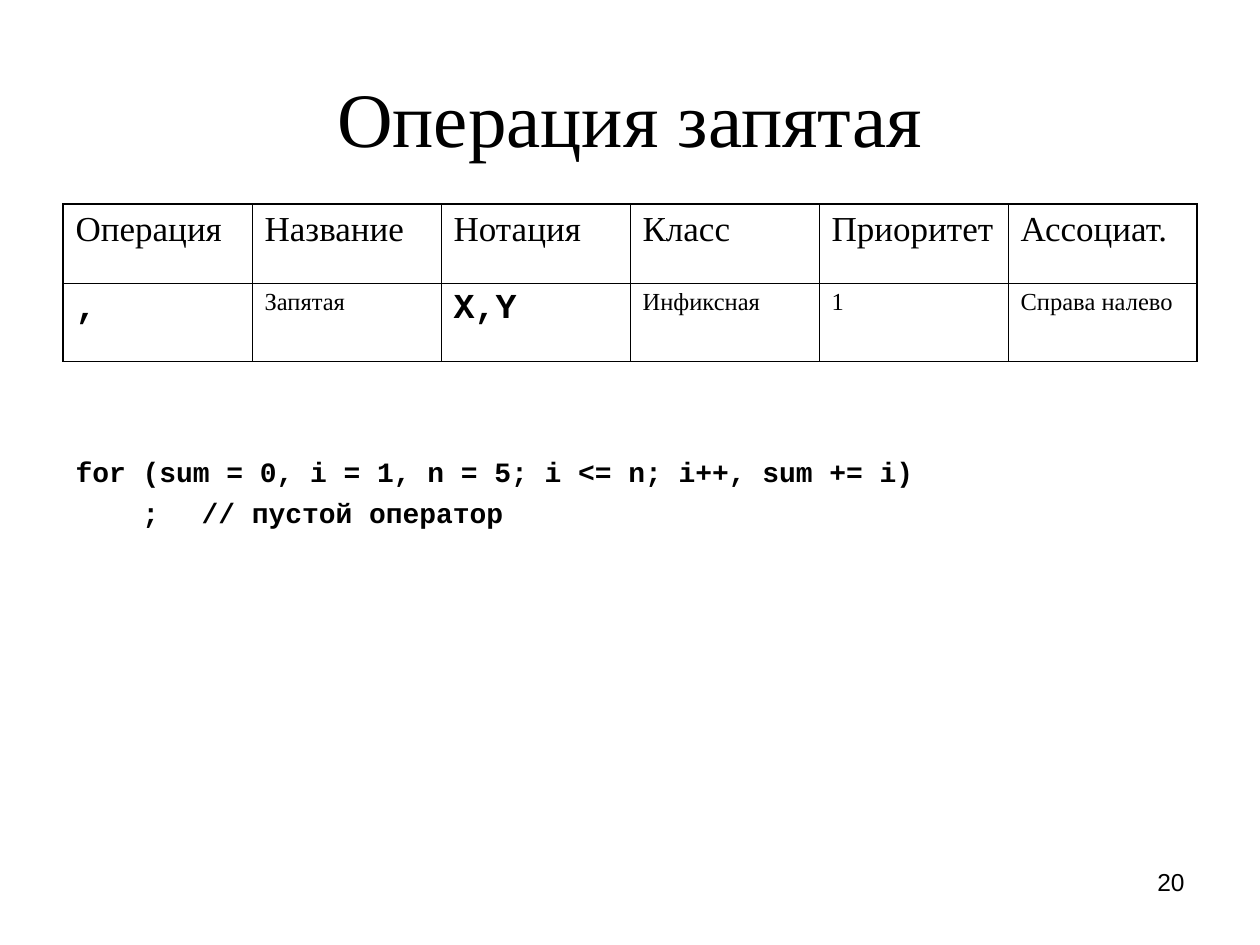
import pptx
import pptx.util
import pptx.dml.color
import pptx.enum.text
import pptx.oxml
import pptx.oxml.ns
from pptx.util import Inches, Pt

# Content
TITLE = "Операция запятая"
HEADER = ["Операция", "Название", "Нотация", "Класс", "Приоритет", "Ассоциат."]
ROW = [",", "Запятая", "X,Y", "Инфиксная", "1", "Справа налево"]
CODE_COLUMNS = (0, 2)
CODE = [  # text, first-line indent in inches
    ("for (sum = 0, i = 1, n = 5; i <= n; i++, sum += i)", 0),
    (";\t// пустой оператор", 0.53),
]
NUMBER = "20"

COLORS = {"text": "000000", "border": "000000"}
SERIF, MONO, SANS = "Times New Roman", "Courier New", "Arial"
OUTER, INNER = 1.08, 0.45  # border widths in points


def style(p, font, size, bold=False, before=0):
    p.font.name = font
    p.font.size = Pt(size)
    p.font.bold = bold
    p.font.color.rgb = pptx.dml.color.RGBColor.from_string(COLORS["text"])
    p.space_before = Pt(before)


def place(sp, left, top, width, height):
    sp.left, sp.top = Inches(left), Inches(top)
    sp.width, sp.height = Inches(width), Inches(height)


def add_border(cell, side, width):
    cell._tc.get_or_add_tcPr().append(pptx.oxml.parse_xml(
        f'<a:ln{side} {pptx.oxml.ns.nsdecls("a")} w="{int(Pt(width))}">'
        f'<a:solidFill><a:srgbClr val="{COLORS["border"]}"/></a:solidFill>'
        f'</a:ln{side}>'))


def main():
    prs = pptx.Presentation()
    prs.slide_width, prs.slide_height = Inches(10), Inches(7.5)
    s = prs.slides.add_slide(prs.slide_layouts[1])

    # Title
    title = s.shapes.title
    place(title, 0.5, 0.3, 9, 1.25)
    tf = title.text_frame
    tf.text = TITLE
    tf.auto_size = pptx.enum.text.MSO_AUTO_SIZE.NONE
    tf.vertical_anchor = pptx.enum.text.MSO_ANCHOR.MIDDLE
    tf.paragraphs[0].alignment = pptx.enum.text.PP_ALIGN.CENTER
    style(tf.paragraphs[0], SERIF, 44)

    # Code sample: no bullets, comment aligned on a one-inch tab
    body = s.placeholders[1]
    place(body, 0.5, 3.56, 9, 1.06)
    tf = body.text_frame
    tf.auto_size = pptx.enum.text.MSO_AUTO_SIZE.NONE
    tf.text = "\n".join(text for text, _ in CODE)
    for p, (_, indent) in zip(tf.paragraphs, CODE):
        style(p, MONO, 16, bold=True, before=4)
        pPr = p._p.get_or_add_pPr()
        pPr.set("marL", "0")
        pPr.set("indent", str(int(Inches(indent))))
        ns = pptx.oxml.ns.nsdecls("a")
        tabs = pptx.oxml.parse_xml(
            f'<a:tabLst {ns}><a:tab pos="{int(Inches(1))}" algn="l"/></a:tabLst>')
        default = pPr.find(pptx.oxml.ns.qn("a:defRPr"))
        default.addprevious(pptx.oxml.parse_xml(f"<a:buNone {ns}/>"))
        default.addprevious(tabs)

    # Operator table
    rows, cols = 2, len(HEADER)
    table = s.shapes.add_table(rows, cols, Inches(0.5), Inches(1.62),
                               Inches(9), Inches(1.25)).table
    table.first_row = table.horz_banding = False
    for r, texts in enumerate([HEADER, ROW]):
        for c, text in enumerate(texts):
            cell = table.cell(r, c)
            cell.text = text
            p = cell.text_frame.paragraphs[0]
            code = r == 1 and c in CODE_COLUMNS
            size = 20 if r == 0 or code else 14
            style(p, MONO if code else SERIF, size, bold=code, before=size / 4)
            edges = {"L": c == 0, "R": c == cols - 1,
                     "T": r == 0, "B": r == rows - 1}
            for side, outside in edges.items():
                add_border(cell, side, OUTER if outside else INNER)
            cell.fill.background()

    # Slide number
    tf = s.shapes.add_textbox(Inches(7.17), Inches(6.83),
                              Inches(2.33), Inches(0.52)).text_frame
    tf.word_wrap = True
    tf.text = NUMBER
    tf.paragraphs[0].alignment = pptx.enum.text.PP_ALIGN.RIGHT
    style(tf.paragraphs[0], SANS, 14)

    prs.save("out.pptx")


if __name__ == "__main__":
    main()
